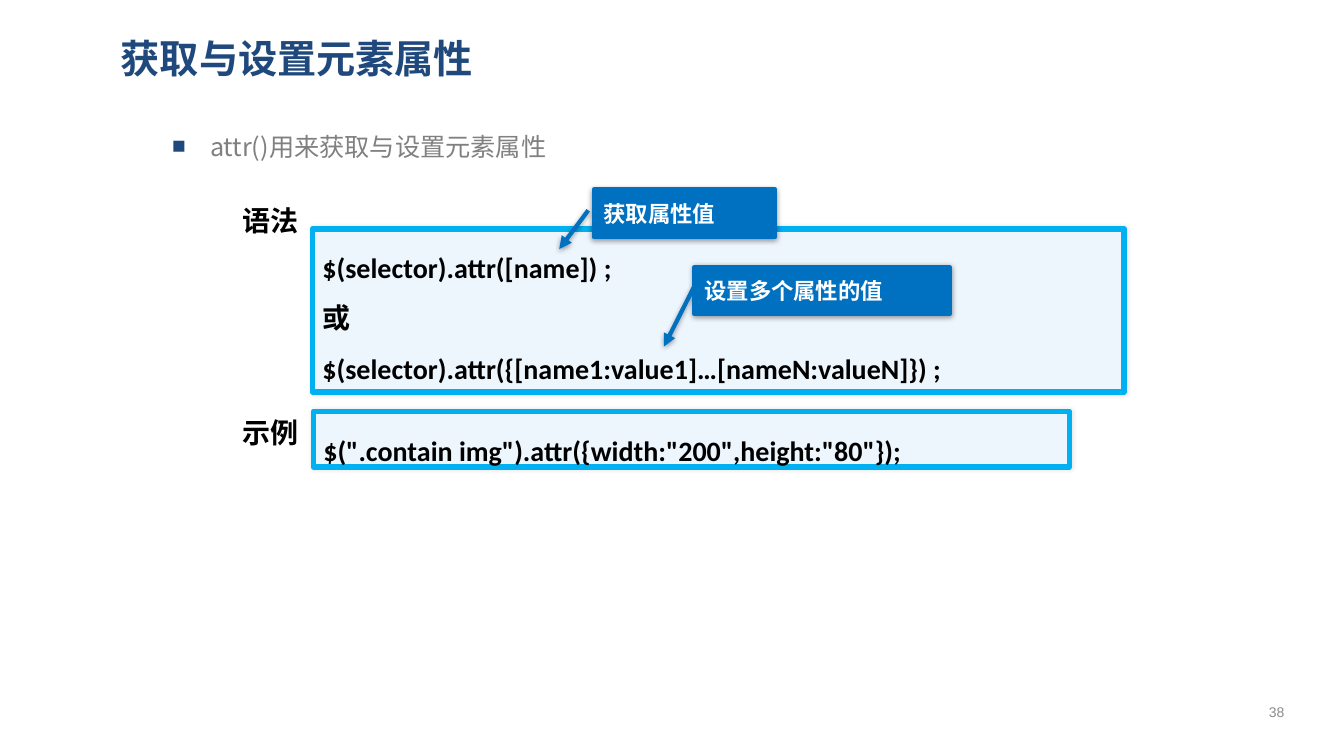
from dataclasses import dataclass

import pptx
import pptx.dml.color
import pptx.enum.shapes
import pptx.enum.text
import pptx.oxml
import pptx.oxml.ns
import pptx.util
from lxml import etree

Pt = pptx.util.Pt
ANCHOR = pptx.enum.text.MSO_ANCHOR
SHAPES = pptx.enum.shapes.MSO_SHAPE
CJK = "Noto Sans CJK SC"
COLOURS = {
    "navy": "1F497D",
    "grey": "808080",
    "number": "8C8C8C",
    "black": "000000",
    "white": "FFFFFF",
    "panel": "EDF5FD",
    "border": "00B0F0",
    "callout": "0070C0",
}


@dataclass(frozen=True)
class Box:
    left: float
    top: float
    width: float
    height: float


@dataclass(frozen=True)
class Style:
    size: float
    colour: str
    font: str = CJK
    bold: bool = True
    shadow: bool = False


@dataclass(frozen=True)
class Label:
    box: Box
    text: str
    style: Style
    wrap: bool = True


@dataclass(frozen=True)
class CodePanel:
    box: Box
    lines: tuple[str, ...]


@dataclass(frozen=True)
class Callout:
    box: Box
    text: str
    adjustments: tuple[float, float, float, float]


HEADING = Style(20, "black", shadow=True)
CODE = Style(20, "black", "Calibri")
CALLOUT = Style(16, "white")

LABELS = (
    Label(Box(79.2, 17.3, 838.8, 48.2), "获取与设置元素属性", Style(28, "navy")),
    Label(Box(166.3, 141.8, 55.4, 31.7), "语法", HEADING, False),
    Label(Box(166.3, 293, 55.4, 31.7), "示例", HEADING, False),
)
PANELS = (
    CodePanel(
        Box(223.2, 163.4, 579.6, 116.6),
        ("$(selector).attr([name]) ;", "或",
         "$(selector).attr({[name1:value1]…[nameN:valueN]}) ;"),
    ),
    CodePanel(
        Box(223.9, 293.8, 540, 39.6),
        ('$(".contain img").attr({width:"200",height:"80"});',),
    ),
)
CALLOUTS = (
    Callout(Box(424.1, 135.4, 129.6, 33.8), "获取属性值", (1.26, -0.19, 0.44, -0.03)),
    Callout(Box(496.1, 190.8, 182.2, 33.8), "设置多个属性的值", (1.68, -0.12, 0.4, 0)),
)


def rgb(name: str) -> pptx.dml.color.RGBColor:
    return pptx.dml.color.RGBColor.from_string(COLOURS[name])


def lengths(box: Box) -> tuple[int, ...]:
    return Pt(box.left), Pt(box.top), Pt(box.width), Pt(box.height)


def add_child(parent, tag: str, **attributes: str):
    return etree.SubElement(parent, pptx.oxml.ns.qn(tag), attributes)


def add_shadow(effects, opacity: int, blur: float, distance: float, angle: int) -> None:
    shadow = add_child(effects, "a:outerShdw", blurRad=str(Pt(blur)),
                       dist=str(Pt(distance)), dir=str(angle * 60000),
                       algn="ctr", rotWithShape="0")
    colour = add_child(shadow, "a:srgbClr", val=COLOURS["black"])
    add_child(colour, "a:alpha", val=str(opacity * 1000))


def add_run(paragraph, text: str, style: Style) -> None:
    run = paragraph.add_run()
    run.text = text
    font = run.font
    font.size, font.bold = Pt(style.size), style.bold
    font.color.rgb = rgb(style.colour)
    properties = run._r.get_or_add_rPr()
    if style.shadow:
        add_shadow(add_child(properties, "a:effectLst"), 43, 3, 3, 45)
    font.name = style.font
    add_child(properties, "a:ea", typeface=CJK)


def set_frame(shape, anchor=ANCHOR.MIDDLE, wrap: bool = True):
    frame = shape.text_frame
    frame.word_wrap = wrap
    frame.vertical_anchor = anchor
    return frame


def add_label(slide, label: Label):
    frame = set_frame(slide.shapes.add_textbox(*lengths(label.box)), wrap=label.wrap)
    add_run(frame.paragraphs[0], label.text, label.style)
    return frame.paragraphs[0]


def add_bullet(slide) -> None:
    shape = slide.shapes.add_textbox(*lengths(Box(79.9, 85.7, 838.8, 409)))
    paragraph = set_frame(shape, ANCHOR.TOP).paragraphs[0]
    paragraph.line_spacing = 1.2
    properties = paragraph._p.get_or_add_pPr()
    properties.set("marL", str(Pt(63)))
    properties.set("indent", str(Pt(-27)))
    colour = add_child(properties, "a:buClr")
    add_child(colour, "a:srgbClr", val=COLOURS["navy"])
    add_child(properties, "a:buSzPct", val="90000")
    add_child(properties, "a:buFont", typeface="Arial")
    add_child(properties, "a:buChar", char="■")
    add_run(paragraph, "attr()用来获取与设置元素属性", Style(18, "grey", bold=False))


def add_filled_shape(slide, kind, box: Box, fill: str, line: str, weight: float):
    shape = slide.shapes.add_shape(kind, *lengths(box))
    shape.fill.solid()
    shape.fill.fore_color.rgb = rgb(fill)
    shape.line.color.rgb = rgb(line)
    shape.line.width = Pt(weight)
    add_child(shape.line._get_or_add_ln(), "a:round")
    shape.shadow.inherit = False
    return shape


def add_panel(slide, panel: CodePanel) -> None:
    shape = add_filled_shape(slide, SHAPES.ROUNDED_RECTANGLE, panel.box,
                             "panel", "border", 4)
    shape.adjustments[0] = 0
    add_shadow(shape._element.spPr.find(pptx.oxml.ns.qn("a:effectLst")), 10, 3, 0, 0)
    frame = set_frame(shape, ANCHOR.TOP)
    for index, line in enumerate(panel.lines):
        paragraph = frame.add_paragraph() if index else frame.paragraphs[0]
        paragraph.alignment = pptx.enum.text.PP_ALIGN.LEFT
        paragraph.line_spacing = 1.5
        add_run(paragraph, line, CODE)


def add_callout(slide, callout: Callout) -> None:
    shape = add_filled_shape(slide, SHAPES.LINE_CALLOUT_1, callout.box,
                             "callout", "callout", 3)
    for index, value in enumerate(callout.adjustments):
        shape.adjustments[index] = value
    add_child(shape.line._get_or_add_ln(), "a:headEnd", type="triangle")
    add_shadow(shape._element.spPr.find(pptx.oxml.ns.qn("a:effectLst")), 40, 4, 1, 90)
    paragraph = set_frame(shape).paragraphs[0]
    paragraph.alignment = pptx.enum.text.PP_ALIGN.LEFT
    add_run(paragraph, callout.text, CALLOUT)


def main() -> None:
    presentation = pptx.Presentation()
    presentation.slide_width, presentation.slide_height = Pt(960), Pt(540)
    slide = presentation.slides.add_slide(presentation.slide_layouts[6])
    add_bullet(slide)
    for panel in PANELS:
        add_panel(slide, panel)
    for callout in CALLOUTS:
        add_callout(slide, callout)
    for label in LABELS:
        add_label(slide, label)
    number = Label(Box(888.5, 493.9, 46.8, 28.8), "38", Style(10, "number", "Arial", False))
    add_label(slide, number).alignment = pptx.enum.text.PP_ALIGN.CENTER
    presentation.save("out.pptx")


if __name__ == "__main__":
    main()
